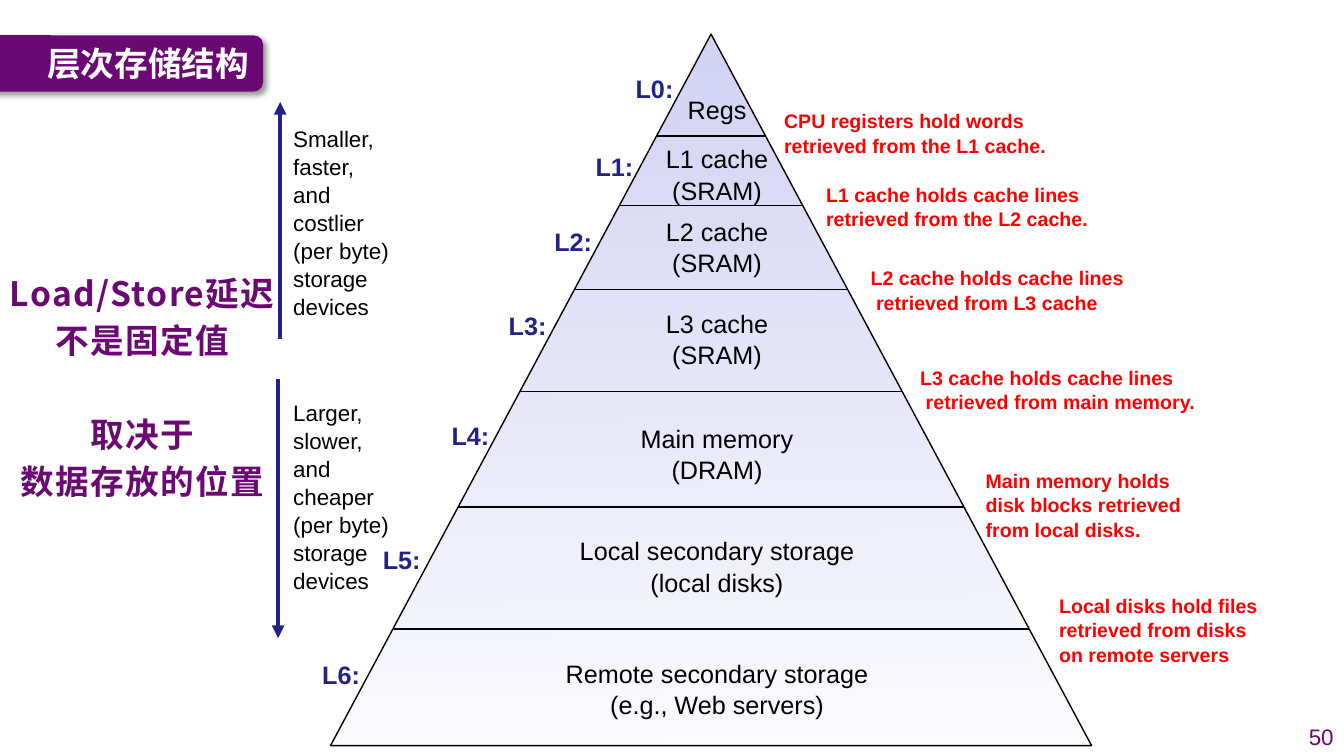
import dataclasses

import lxml.etree
import pptx
import pptx.dml.color
import pptx.enum.shapes
import pptx.enum.text
import pptx.oxml
import pptx.oxml.ns
import pptx.util

Cm = pptx.util.Cm
Pt = pptx.util.Pt
ALIGN = pptx.enum.text.PP_ALIGN
ANCHOR = pptx.enum.text.MSO_ANCHOR
SHAPE = pptx.enum.shapes.MSO_SHAPE
NAMESPACE = 'xmlns:a="http://schemas.openxmlformats.org/drawingml/2006/main"'


@dataclasses.dataclass(frozen=True)
class Theme:
    latin: str = "Arial"
    chinese: str = "Noto Sans CJK SC"
    purple: str = "6A0874"
    message: str = "6B0874"
    navy: str = "22228B"
    red: str = "FF0000"
    black: str = "000000"
    white: str = "FFFFFF"
    lavender: str = "D2D2F4"
    heading_size: int = 24
    level_size: int = 18
    side_size: int = 16
    note_size: int = 14


THEME = Theme()
APEX_X, APEX_Y, BASE, HEIGHT = 17.92, 0.86, 19.18, 17.93
NAME_X = 18.07
DIVIDERS = [3.43, 5.18, 7.29, 9.86, 12.78, 15.85]
LEVELS = [
    (15.77, 2.21, 2.74, 2.4, ["Regs"]),
    (14.76, 4.17, 4.38, 3.5, ["L1 cache", "(SRAM)"]),
    (13.72, 6.07, 6.21, 3.5, ["L2 cache", "(SRAM)"]),
    (12.57, 8.18, 8.52, 3.5, ["L3 cache", "(SRAM)"]),
    (11.13, 10.95, 11.42, 4.8, ["Main memory", "(DRAM)"]),
    (9.4, 14.07, 14.26, 7.9, ["Local secondary storage", "(local disks)"]),
    (7.87, 16.97, 17.34, 8.6, ["Remote secondary storage", "(e.g., Web servers)"]),
]
NOTES = [
    (19.51, 2.62, 8.1, 1.45, 0, ["CPU registers hold words retrieved from the L1 cache."]),
    (20.57, 4.47, 7.87, 1.45, 0, ["L1 cache holds cache lines retrieved from the L2 cache."]),
    (21.69, 6.58, 7.32, 1.45, 0.14, ["L2 cache holds cache lines", "retrieved from L3 cache"]),
    (22.94, 9.09, 8, 1.45, 0.14, ["L3 cache holds cache lines", "retrieved from main memory."]),
    (24.59, 11.68, 6.07, 2.06, 0, ["Main memory holds disk blocks retrieved from local disks."]),
    (26.44, 14.83, 5.74, 2.06, 0,
     ["Local disks hold files retrieved from disks", "on remote servers"]),
]
TRENDS = [
    (7.14, 3.07, ["Smaller,", "faster,", "and", "costlier", "(per byte)", "storage", "devices"]),
    (7.14, 9.98, ["Larger,", "slower,", "and", "cheaper", "(per byte)", "storage", "devices"]),
]
ARROWS = [(7.06, 8.53, 2.57), (7.01, 9.55, 16.08)]


def apply(target, values):
    for name, value in values.items():
        setattr(target, name, value)


def color(code):
    return pptx.dml.color.RGBColor.from_string(code)


def append_xml(parent, tag, body=""):
    xml = f"<a:{tag} {NAMESPACE}>{body}</a:{tag.split()[0]}>"
    element = pptx.oxml.parse_xml(xml)
    parent.append(element)
    return element


def style(size, code, bold=False, face=THEME.latin):
    return {"size": Pt(size), "bold": bold, "name": face}, code


def place(box, left, top, width, height):
    apply(box, {"left": Cm(left), "top": Cm(top), "width": Cm(width), "height": Cm(height)})


def write(box, lines, look, align=ALIGN.LEFT, anchor=ANCHOR.MIDDLE, spacing=1.04):
    values, code = look
    frame = box.text_frame
    apply(frame, {"word_wrap": True, "vertical_anchor": anchor,
                  "auto_size": pptx.enum.text.MSO_AUTO_SIZE.NONE})
    for index, line in enumerate(lines):
        para = frame.paragraphs[0] if index == 0 else frame.add_paragraph()
        apply(para, {"alignment": align, "line_spacing": spacing, "space_before": Pt(0)})
        span = para.add_run()
        span.text = line
        apply(span.font, values)
        span.font.color.rgb = color(code)
        if values["name"] == THEME.chinese:
            append_xml(span.font._element, f'ea typeface="{THEME.chinese}"')
    return frame.paragraphs


def add_text(page, area, lines, look, **options):
    box = page.shapes.add_textbox(*map(Cm, area))
    return write(box, lines, look, **options)


def add_line(page, start, end, code, width, arrow=False):
    line = page.shapes.add_connector(
        pptx.enum.shapes.MSO_CONNECTOR.STRAIGHT, *map(Cm, start + end))
    line.line.color.rgb = color(code)
    line.line.width = Pt(width)
    if arrow:
        append_xml(line.line._get_or_add_ln(), 'tailEnd type="triangle"')
    append_xml(line._element.spPr, "effectLst")


def add_heading(page):
    title = page.shapes.title
    place(title, 0.94, 0.89, 5.69, 1.4)
    write(title, ["层次存储结构"],
          style(THEME.heading_size, THEME.white, True, THEME.chinese), spacing=1.0)
    banner = page.shapes.add_shape(SHAPE.ROUNDED_RECTANGLE, Cm(-0.51), Cm(0.89), Cm(7.14), Cm(1.42))
    banner.fill.solid()
    banner.fill.fore_color.rgb = color(THEME.purple)
    banner.line.fill.background()
    append_xml(
        banner._element.spPr, "effectLst",
        f'<a:outerShdw blurRad="{Pt(4)}" dist="{Pt(3)}" dir="2700000" algn="tl" rotWithShape="0">'
        f'<a:srgbClr val="{THEME.black}"><a:alpha val="40000"/></a:srgbClr></a:outerShdw>')
    title._element.addprevious(banner._element)


def add_message(page):
    body = page.placeholders[1]
    place(body, -0.3, 6.58, 7.77, 6.2)
    paras = write(body, ["Load/Store延迟", "不是固定值", "取决于", "数据存放的位置"],
                  style(THEME.heading_size, THEME.message, True, THEME.chinese),
                  align=ALIGN.CENTER, anchor=ANCHOR.TOP, spacing=Pt(33.6))
    paras[2].space_before = Pt(33.6)
    for para in paras:
        settings = para._p.get_or_add_pPr()
        settings.set("marL", "0")
        settings.set("indent", "0")
        append_xml(settings, "buNone")
        for span in para.runs:
            span.font._element.set("spc", "100")


def add_pyramid(page):
    pyramid = page.shapes.add_shape(SHAPE.ISOSCELES_TRIANGLE, Cm(APEX_X - BASE / 2),
                                    Cm(APEX_Y), Cm(BASE), Cm(HEIGHT))
    pyramid.shadow.inherit = False
    pyramid.line.color.rgb = color(THEME.black)
    pyramid.line.width = Pt(1)
    stops = "".join(
        f'<a:gs pos="{position}"><a:srgbClr val="{THEME.lavender}">'
        f'<a:alpha val="{alpha}"/></a:srgbClr></a:gs>'
        for position, alpha in ((0, 7000), (100000, 100000)))
    gradient = append_xml(pyramid._element.spPr, 'gradFill rotWithShape="1"',
                          f'<a:gsLst>{stops}</a:gsLst><a:lin ang="16140000" scaled="0"/>')
    pyramid._element.spPr.find(pptx.oxml.ns.qn("a:prstGeom")).addnext(gradient)
    for y in DIVIDERS:
        half = (y - APEX_Y) / HEIGHT * BASE / 2
        add_line(page, (APEX_X - half, y), (APEX_X + half, y), THEME.black, 1)


def add_level(page, number, label_x, label_y, name_y, width, lines):
    add_text(page, (NAME_X - width / 2, name_y - 0.9, width, 1.8), lines,
             style(THEME.level_size, THEME.black), align=ALIGN.CENTER)
    add_text(page, (label_x, label_y - 0.51, 1.7, 1.02), [f"L{number}:"],
             style(THEME.level_size, THEME.navy, True))


def add_note(page, left, top, width, height, indent, lines):
    paras = add_text(page, (left, top, width, height), lines,
                     style(THEME.note_size, THEME.red, True))
    if indent:
        paras[1]._p.get_or_add_pPr().set("marL", str(Cm(indent)))


def main():
    deck = pptx.Presentation()
    apply(deck, {"slide_width": Cm(33.87), "slide_height": Cm(19.05)})
    page = deck.slides.add_slide(deck.slide_layouts[1])
    add_heading(page)
    add_message(page)
    add_pyramid(page)
    for number, level in enumerate(LEVELS):
        add_level(page, number, *level)
    for note in NOTES:
        add_note(page, *note)
    for left, top, lines in TRENDS:
        add_text(page, (left, top, 3.2, 5.05), lines, style(THEME.side_size, THEME.black))
    for x, start, end in ARROWS:
        add_line(page, (x, start), (x, end), THEME.navy, 3, arrow=True)
    add_text(page, (32.46, 18.03, 1.4, 1.02), ["50"],
             style(THEME.side_size, THEME.purple), align=ALIGN.RIGHT)
    deck.save("out.pptx")


if __name__ == "__main__":
    main()
